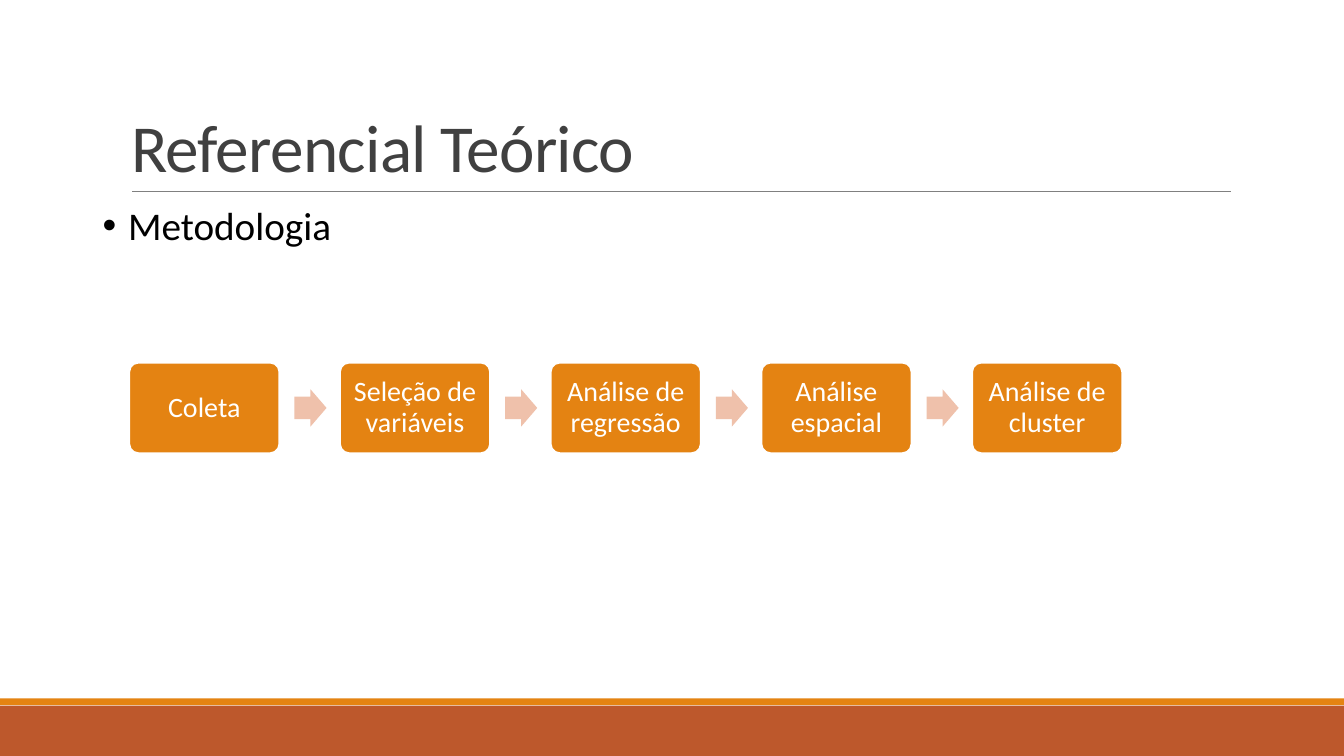
import pptx
import pptx.dml.color
import pptx.enum.shapes
import pptx.enum.text
import pptx.oxml.ns
import pptx.util
from lxml import etree

Cm, Pt = pptx.util.Cm, pptx.util.Pt
SHAPE = pptx.enum.shapes.MSO_SHAPE
ANCHOR = pptx.enum.text.MSO_ANCHOR
ALIGN = pptx.enum.text.PP_ALIGN
qn = pptx.oxml.ns.qn


def colour(hex_text):
    return pptx.dml.color.RGBColor.from_string(hex_text)


class SlideBuilder:
    """Holds the style and the current slide."""

    font = "Calibri"
    orange, rust, peach = "E48312", "BD582C", "EFC1AB"
    white, black, dark, grey = "FFFFFF", "000000", "404040", "808080"

    def __init__(self, slide):
        self.slide = slide

    def run(self, paragraph, text, size, hex_text, line_spacing):
        paragraph.line_spacing = line_spacing
        run = paragraph.add_run()
        run.text = text
        run.font.name = self.font
        run.font.size = Pt(size)
        run.font.color.rgb = colour(hex_text)
        return run

    def title(self, text, left, top, width, height):
        heading = self.slide.shapes.title
        heading.left, heading.top = Cm(left), Cm(top)
        heading.width, heading.height = Cm(width), Cm(height)
        frame = heading.text_frame
        frame.word_wrap = True
        frame.auto_size = pptx.enum.text.MSO_AUTO_SIZE.NONE
        frame.vertical_anchor = ANCHOR.BOTTOM
        paragraph = frame.paragraphs[0]
        paragraph.alignment = ALIGN.LEFT
        run = self.run(paragraph, text, 48, self.dark, 0.85)
        run.font._element.set("spc", "-50")

    def bullet(self, text, left, top, width, height):
        topic = self.slide.shapes.add_textbox(Cm(left), Cm(top), Cm(width), Cm(height))
        topic.text_frame.word_wrap = True
        paragraph = topic.text_frame.paragraphs[0]
        paragraph.space_before = Pt(10)
        self.run(paragraph, text, 28, self.black, 0.9)
        properties = paragraph._p.get_or_add_pPr()
        properties.set("marL", str(Cm(0.64)))
        properties.set("indent", str(-Cm(0.64)))
        etree.SubElement(properties, qn("a:buFont")).set("typeface", "Arial")
        etree.SubElement(properties, qn("a:buChar")).set("char", "•")

    def shape(self, kind, left, top, width, height, fill, adjustments=()):
        shape = self.slide.shapes.add_shape(kind, Cm(left), Cm(top), Cm(width), Cm(height))
        shape.shadow.inherit = False
        shape.fill.solid()
        shape.fill.fore_color.rgb = colour(fill)
        shape.line.fill.background()
        for index, value in enumerate(adjustments):
            shape.adjustments[index] = value
        return shape

    def step(self, text, left, top, width, height):
        box = self.shape(SHAPE.ROUNDED_RECTANGLE, left, top, width, height, self.orange, [0.1])
        box.line.color.rgb = colour(self.white)
        box.line.width = Pt(1.25)
        frame = box.text_frame
        frame.word_wrap = True
        frame.vertical_anchor = ANCHOR.MIDDLE
        frame.margin_left = frame.margin_right = Cm(0.25)
        frame.margin_top = frame.margin_bottom = Cm(0.2)
        paragraph = frame.paragraphs[0]
        paragraph.alignment = ALIGN.CENTER
        self.run(paragraph, text, 20, self.white, 0.9)

    def rule(self, left, right, height):
        rule = self.slide.shapes.add_connector(
            pptx.enum.shapes.MSO_CONNECTOR.STRAIGHT, Cm(left), Cm(height), Cm(right), Cm(height))
        rule.line.color.rgb = colour(self.grey)
        rule.line.width = Pt(0.5)
        etree.SubElement(rule._element.spPr, qn("a:effectLst"))


def main():
    deck = pptx.Presentation()
    deck.slide_width, deck.slide_height = Cm(33.87), Cm(19.05)
    builder = SlideBuilder(deck.slides.add_slide(deck.slide_layouts[5]))

    # Footer bands and rule under the title
    builder.shape(SHAPE.RECTANGLE, 0, 17.78, 33.87, 1.27, builder.rust)
    builder.shape(SHAPE.RECTANGLE, 0, 17.6, 33.87, 0.17, builder.orange)
    builder.rule(3.33, 31.01, 4.83)

    # Title and topic
    builder.title("Referencial Teórico", 3.05, 0.79, 27.94, 4.04)
    builder.bullet("Metodologia", 2.34, 5.08, 29.21, 1.57)

    # Process: equal steps joined by arrows
    steps = ["Coleta", "Seleção de variáveis", "Análise de regressão",
             "Análise espacial", "Análise de cluster"]
    first_left, pitch = 3.26, 5.31
    for index, step in enumerate(steps):
        left = first_left + index * pitch
        if index:
            builder.shape(SHAPE.RIGHT_ARROW, left - 1.15, 9.81, 0.81, 0.94,
                          builder.peach, [0.6, 0.5])
        builder.step(step, left, 9.14, 3.78, 2.28)

    deck.save("out.pptx")


if __name__ == "__main__":
    main()
